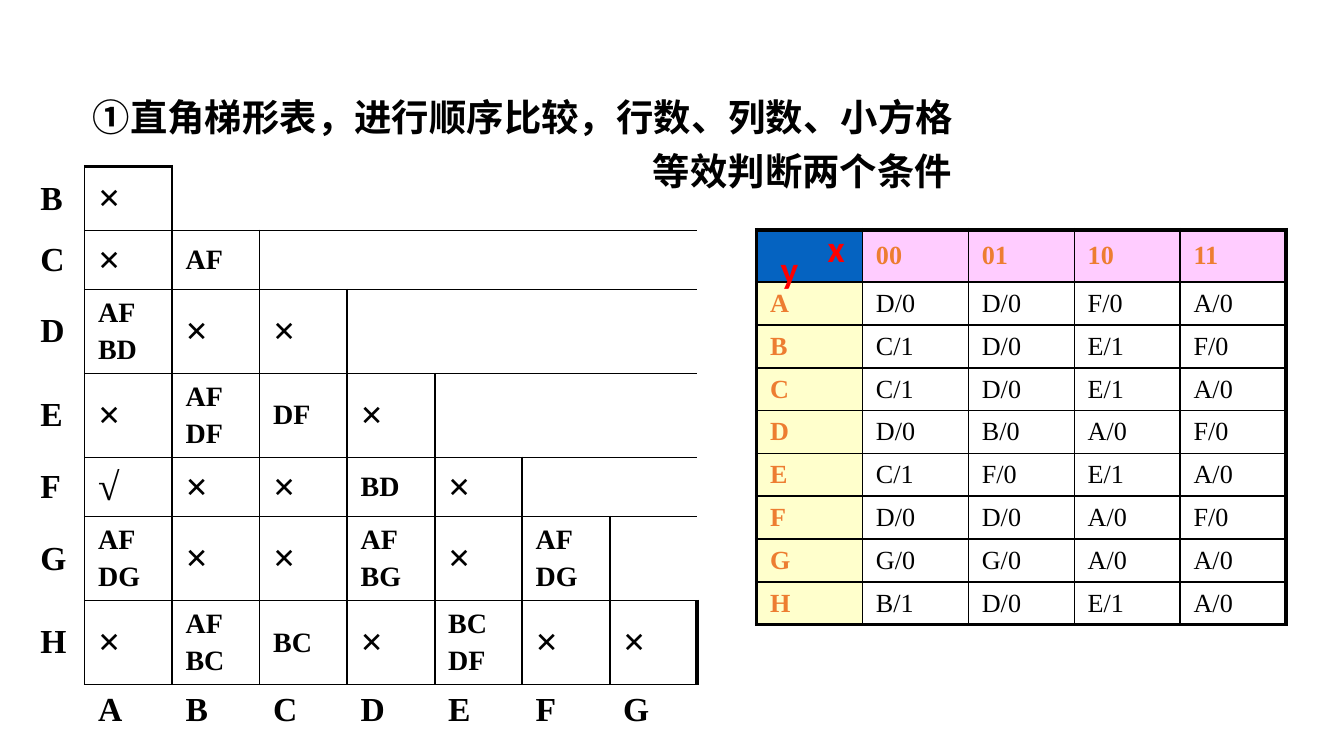
from dataclasses import dataclass
from typing import Any, NamedTuple

from lxml.etree import SubElement
from pptx import Presentation
from pptx.dml.color import RGBColor as Rgb
from pptx.enum.text import MSO_ANCHOR as Anchor, MSO_AUTO_SIZE as Fit, PP_ALIGN as Align
from pptx.oxml.ns import qn
from pptx.util import Inches, Pt

UNIT = Inches(0.01)
WIDE, HIGH = 1000, 562.5
PLAIN = "{2D5ABB26-0587-4C30-8999-92F81FD0307C}"
SIDES = {"L": (0, -1), "R": (0, 1), "T": (-1, 0), "B": (1, 0)}


class Box(NamedTuple):
    left: float
    top: float
    width: float
    height: float


@dataclass(frozen=True)
class Ink:
    size: float
    color: str
    bold: bool = True
    face: str = "Times New Roman"


@dataclass(frozen=True)
class Theme:
    line: str = "000000"
    thin: float = 1
    thick: float = 2.25
    white: str = "FFFFFF"
    corner: str = "0563C1"
    head: str = "FFCCFF"
    side: str = "FFFFCC"
    title: Ink = Ink(20, "000000", face="Noto Sans CJK JP")
    label: Ink = Ink(18, "000000")
    mark: Ink = Ink(21, "000000")
    pair: Ink = Ink(15, "000000")
    state: Ink = Ink(14, "ED7D31")
    value: Ink = Ink(14, "000000", False)
    axis: Ink = Ink(20, "FF0000", face="Calibri")


@dataclass(frozen=True)
class Cell:
    text: str = ""
    ink: Ink | None = None
    fill: str | None = None


@dataclass(frozen=True)
class Grid:
    box: Box
    cols: list[float]
    rows: list[float]
    cells: dict[tuple[int, int], Cell]
    heavy: set[tuple[int, int, str]]


THEME = Theme()


def apply(item: Any, vals: dict[str, Any]) -> None:
    for name, val in vals.items():
        setattr(item, name, val)


def span(count: float) -> int:
    return round(count * UNIT)


def place(box: Box) -> list[int]:
    return [span(part) for part in box]


def write(frame: Any, text: str, ink: Ink, form: dict[str, Any] | None = None) -> None:
    for i, line in enumerate(text.split("|")):
        para = frame.add_paragraph() if i else frame.paragraphs[0]
        if i:
            para.space_before = Pt(ink.size * 0.2)
        apply(para, form or {})
        run = para.add_run()
        run.text = line
        apply(run.font, {"size": Pt(ink.size), "bold": ink.bold, "name": ink.face})
        run.font.color.rgb = Rgb.from_string(ink.color)
        SubElement(run.font._element, qn("a:ea"), typeface=ink.face)


def edge(cell: Any, side: str, width: float) -> None:
    line = SubElement(cell._tc.get_or_add_tcPr(), qn(f"a:ln{side}"), w=str(Pt(width)))
    SubElement(SubElement(line, qn("a:solidFill")), qn("a:srgbClr"), val=THEME.line)


def draw(shapes: Any, grid: Grid) -> Any:
    table = shapes.add_table(len(grid.rows), len(grid.cols), *place(grid.box)).table
    apply(table, {"first_row": False, "horz_banding": False})
    table._tbl.tblPr.find(qn("a:tableStyleId")).text = PLAIN
    for col, width in zip(table.columns, grid.cols):
        col.width = span(width)
    for row, height in zip(table.rows, grid.rows):
        row.height = span(height)
    for r in range(len(grid.rows)):
        for c in range(len(grid.cols)):
            cell = table.cell(r, c)
            data = grid.cells.get((r, c), Cell())
            apply(cell, {"margin_top": span(4), "margin_bottom": span(4),
                         "vertical_anchor": Anchor.MIDDLE})
            if data.fill:
                for side in SIDES:
                    heavy = (r, c, side) in grid.heavy
                    edge(cell, side, THEME.thick if heavy else THEME.thin)
                cell.fill.solid()
                cell.fill.fore_color.rgb = Rgb.from_string(data.fill)
            else:
                cell.fill.background()
            if data.text:
                write(cell.text_frame, data.text, data.ink)
    return table


def stairs(shapes: Any) -> None:
    steps = ["×", "× AF", "AF|BD × ×", "× AF|DF DF ×", "√ × × BD ×",
             "AF|DG × × AF|BG × AF|DG", "× AF|BC BC × BC|DF × ×"]
    last = len(steps)
    box, first = Box(20, 124, 499, 423), 43
    cells = {}
    for r, step in enumerate(steps):
        cells[r, 0] = Cell("BCDEFGH"[r], THEME.label)
        cells[last, r + 1] = Cell("ABCDEFG"[r], THEME.label)
        for c, text in enumerate(step.split(), 1):
            ink = THEME.mark if text in "×√" else THEME.pair
            cells[r, c] = Cell(text, ink, THEME.white)
    cols = [first] + [(box.width - first) / last] * last
    rows = [47.5, 44, 62.5, 62.5, 44, 62.5, 62.5, 37.5]
    heavy = {(0, 1, "T"), (last - 1, last, "R")}
    table = draw(shapes, Grid(box, cols, rows, cells, heavy))
    for r in range(last - 2):
        table.cell(r, r + 2).merge(table.cell(r, last))


def states(shapes: Any) -> None:
    lines = ["- 00 01 10 11", "A D/0 D/0 F/0 A/0", "B C/1 D/0 E/1 F/0",
             "C C/1 D/0 E/1 A/0", "D D/0 B/0 A/0 F/0", "E C/1 F/0 E/1 A/0",
             "F D/0 D/0 A/0 F/0", "G G/0 G/0 A/0 A/0", "H B/1 D/0 E/1 A/0"]
    box, head = Box(563, 171, 394, 294), 39
    cells = {}
    for r, line in enumerate(lines):
        for c, text in enumerate(line.split()):
            fill = THEME.white if r and c else THEME.side if r else THEME.head
            cells[r, c] = Cell(text, THEME.value if r and c else THEME.state, fill)
    cells[0, 0] = Cell(fill=THEME.corner)
    heavy = {(r, c, side) for r, c in cells for side, (down, over) in SIDES.items()
             if (r + down, c + over) not in cells}
    more = len(lines) - 1
    rows = [head] + [(box.height - head) / more] * more
    draw(shapes, Grid(box, [box.width / 5] * 5, rows, cells, heavy))


def label(shapes: Any, text: str, box: Box, ink: Ink, form: dict[str, Any]) -> None:
    frame = shapes.add_textbox(*place(box)).text_frame
    frame.word_wrap = True
    write(frame, text, ink, form)


def main() -> None:
    deck = Presentation()
    apply(deck, {"slide_width": span(WIDE), "slide_height": span(HIGH)})
    shapes = deck.slides.add_slide(deck.slide_layouts[5]).shapes
    form = {"line_spacing": 0.9, "alignment": Align.LEFT}
    title = shapes.title
    apply(title, dict(zip(Box._fields, place(Box(59, 69, 661, 44)))))
    apply(title.text_frame, {"auto_size": Fit.NONE, "word_wrap": True,
                             "vertical_anchor": Anchor.TOP, "margin_right": 0})
    write(title.text_frame, "①直角梯形表，进行顺序比较，行数、列数、小方格", THEME.title, form)
    stairs(shapes)
    states(shapes)
    axes = shapes.add_group_shape().shapes
    label(axes, "x", Box(606, 163, 33, 43), THEME.axis, {})
    label(axes, "y", Box(571, 178, 45, 43), THEME.axis, {})
    label(shapes, "等效判断两个条件", Box(476, 109, 244, 44), THEME.title, form)
    deck.save("out.pptx")


if __name__ == "__main__":
    main()
